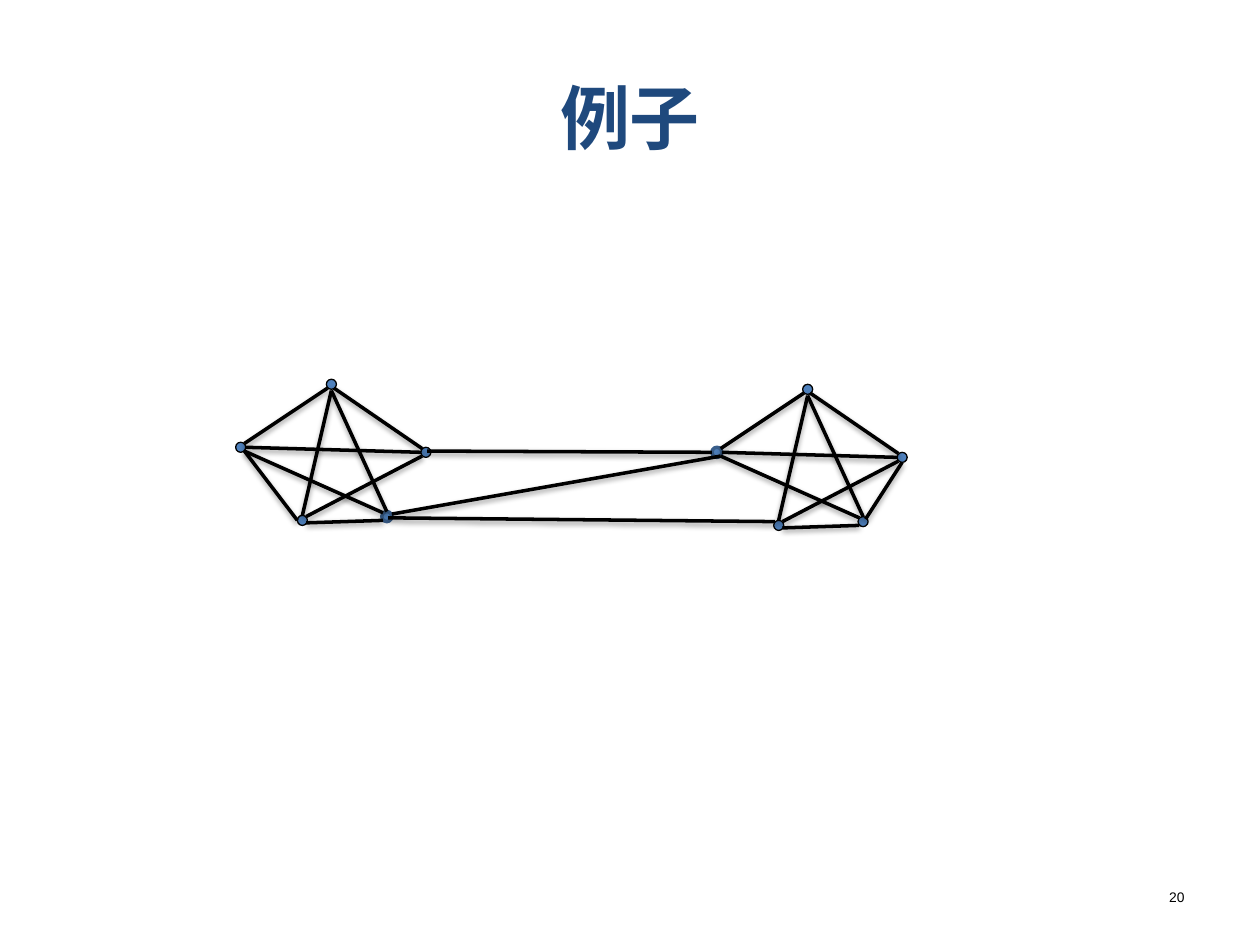
from lxml.etree import SubElement
from pptx import Presentation
from pptx.dml.color import RGBColor
from pptx.enum.shapes import MSO_CONNECTOR, MSO_SHAPE
from pptx.enum.text import MSO_ANCHOR, PP_ALIGN
from pptx.oxml.ns import qn
from pptx.util import Inches, Pt

COLORS = {"title": "1F497D", "node": "4F81BD", "ring": "3A5F8C", "ink": "000000"}
TITLE, PAGE = "例子", "20"
DOT = 0.08

# Node corners and edge ends, in inches from the corner of a cluster
NODES = {"top": (0.72, 0), "left": (0, 0.5), "right": (1.47, 0.54),
         "bottom left": (0.49, 1.08), "bottom right": (1.16, 1.05)}
EDGES = [
    ((0.76, 0.09), (1.2, 1.05)),
    ((0.78, 0.07), (1.48, 0.55)),
    ((0.76, 0.09), (0.53, 1.08)),
    ((0.73, 0.07), (0.07, 0.51)),
    ((1.47, 0.58), (0.08, 0.54)),
    ((1.17, 1.06), (0.07, 0.57)),
    ((1.48, 0.61), (0.56, 1.09)),
    ((1.17, 1.12), (0.56, 1.14)),
]
# Each cluster: corner, its own extra edge, the node with a thick ring
CLUSTERS = [
    ((5.65, 3.05), ((1.51, 0.62), (1.22, 1.07)), "left"),
    ((1.87, 3.01), ((0.49, 1.12), (0.07, 0.57)), "bottom right"),
]
BRIDGES = [((3.39, 3.58), (5.65, 3.59)),
           ((3.08, 4.11), (6.15, 4.14)),
           ((3.11, 4.08), (5.72, 3.62))]


def rgb(name):
    return RGBColor.from_string(COLORS[name])


def write(tf, text, size, color="ink", bold=False, align=PP_ALIGN.CENTER,
          anchor=MSO_ANCHOR.TOP):
    tf.word_wrap, tf.vertical_anchor = True, anchor
    p = tf.paragraphs[0]
    p.alignment = align
    r = p.add_run()
    r.text = text
    r.font.name, r.font.size, r.font.bold = "Arial", Pt(size), bold
    r.font.color.rgb = rgb(color)


def place(sp, left, top, width, height):
    sp.left, sp.top = Inches(left), Inches(top)
    sp.width, sp.height = Inches(width), Inches(height)


def add_node(s, x, y, ringed):
    sp = s.shapes.add_shape(MSO_SHAPE.OVAL, Inches(x), Inches(y), Inches(DOT), Inches(DOT))
    sp.shadow.inherit = False
    sp.fill.solid()
    sp.fill.fore_color.rgb = rgb("node")
    sp.line.color.rgb = rgb("ring" if ringed else "ink")
    sp.line.width = Pt(2 if ringed else 0.75)


def add_edge(s, start, end):
    """Draw a black line with a soft shadow below it."""
    c = s.shapes.add_connector(MSO_CONNECTOR.STRAIGHT, *map(Inches, (*start, *end)))
    c.line.color.rgb = rgb("ink")
    c.line.width = Pt(2)
    effects = SubElement(c._element.spPr, qn("a:effectLst"))
    shadow = SubElement(effects, qn("a:outerShdw"), blurRad=str(Pt(3.1)),
                        dist=str(Pt(1.6)), dir="5400000", rotWithShape="0")
    color = SubElement(shadow, qn("a:srgbClr"), val=COLORS["ink"])
    SubElement(color, qn("a:alpha"), val="38000")


def add_cluster(s, corner, extra_edge, ringed):
    def shift(point):
        return corner[0] + point[0], corner[1] + point[1]

    for name, point in NODES.items():
        add_node(s, *shift(point), name == ringed)
    for start, end in EDGES + [extra_edge]:
        add_edge(s, shift(start), shift(end))


def main():
    prs = Presentation()
    prs.slide_width, prs.slide_height = Inches(10), Inches(7.5)
    s = prs.slides.add_slide(prs.slide_layouts[5])

    place(s.shapes.title, 0.5, 0.3, 9, 1.25)
    write(s.shapes.title.text_frame, TITLE, 40, color="title", bold=True,
          anchor=MSO_ANCHOR.MIDDLE)
    number = s.shapes.add_textbox(0, 0, 0, 0)
    place(number, 7.17, 7, 2.33, 0.35)
    write(number.text_frame, PAGE, 7.9, align=PP_ALIGN.RIGHT)

    for cluster in CLUSTERS:
        add_cluster(s, *cluster)
    for bridge in BRIDGES:
        add_edge(s, *bridge)
    prs.save("out.pptx")


if __name__ == "__main__":
    main()
